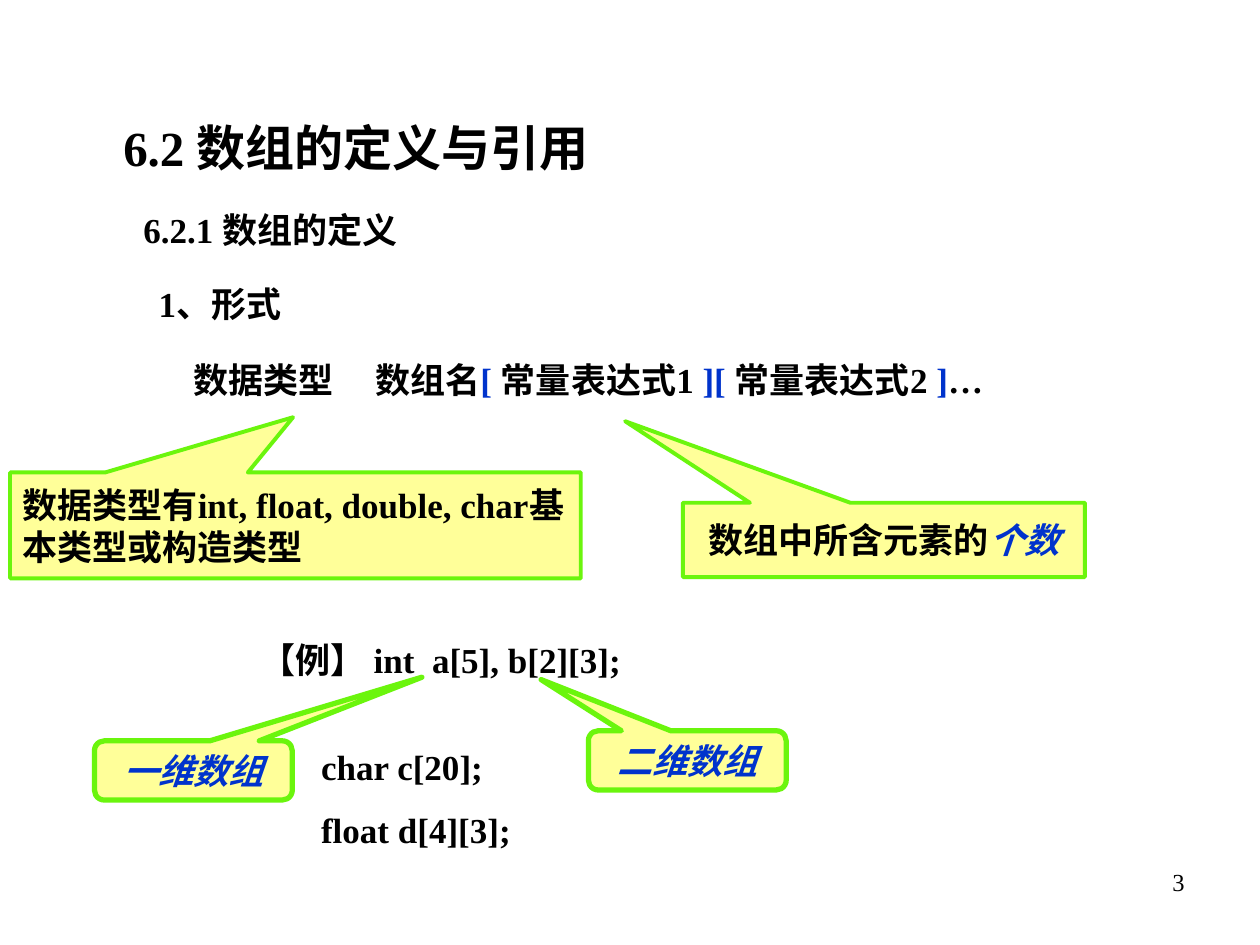
from pptx import Presentation
from pptx.dml.color import RGBColor
from pptx.enum.shapes import MSO_SHAPE
from pptx.enum.text import MSO_ANCHOR, MSO_AUTO_SIZE, PP_ALIGN
from pptx.oxml.xmlchemy import OxmlElement
from pptx.util import Inches, Pt

BLACK = RGBColor(0x00, 0x00, 0x00)
BLUE = RGBColor(0x00, 0x33, 0xCC)
YELLOW = RGBColor(0xFF, 0xFF, 0x99)
GREEN = RGBColor(0x6B, 0xF5, 0x0D)
FONT = "Times New Roman"
RECT = MSO_SHAPE.RECTANGULAR_CALLOUT
ROUNDED = MSO_SHAPE.ROUNDED_RECTANGULAR_CALLOUT

# Paragraphs: (runs, size, space before in points, first-line indent in inches)
# Runs: (text, colour, italic)
HEADINGS = [
    ([("6.2 数组的定义与引用", BLACK, False)], 28, 0, 0),
    ([("6.2.1 数组的定义", BLACK, False)], 20, 6.2, 0.16),
    ([("1、形式", BLACK, False)], 20, 6.2, 0.28),
    ([("数据类型\t数组名", BLACK, False), ("[ ", BLUE, False),
      ("常量表达式1 ", BLACK, False), ("][ ", BLUE, False),
      ("常量表达式2 ", BLACK, False), ("]", BLUE, False),
      ("…", BLACK, False)], 20, 7.5, 0.56),
]
NAME_TAB = 1.87  # where the array name starts in the declaration form
EXAMPLES = [
    ([("【例】 int  a[5], b[2][3];", BLACK, False)], 20, 0, 0),
    ([("char c[20];", BLACK, False)], 20, 25, 0.48),
    ([("float d[4][3];", BLACK, False)], 20, 0, 0.48),
]

# Callouts: kind, box, adjustments, line width, alignment, runs
CALLOUTS = [
    (RECT, (0.08, 3.75, 4.53, 0.84), (-0.004, -1.022), 2.25, PP_ALIGN.LEFT,
     [("数据类型有int, float, double, char基本类型或构造类型", BLACK, False)]),
    (RECT, (5.42, 3.99, 3.19, 0.59), (-0.644, -1.597), 2.25, PP_ALIGN.CENTER,
     [("数组中所含元素的", BLACK, False), ("个数", BLUE, True)]),
    (ROUNDED, (0.75, 5.88, 1.57, 0.47), (1.155, -1.574, 0.167), 3,
     PP_ALIGN.CENTER, [("一维数组", BLUE, True)]),
    (ROUNDED, (4.67, 5.8, 1.57, 0.47), (-0.739, -1.364, 0.167), 3,
     PP_ALIGN.CENTER, [("二维数组", BLUE, True)]),
]


def add_runs(p, runs, size, bold=True):
    for text, color, italic in runs:
        r = p.add_run()
        r.text = text
        r.font.name = FONT
        r.font.size = Pt(size)
        r.font.bold = bold
        r.font.italic = italic
        r.font.color.rgb = color


def add_tab(p, position):
    tabs = OxmlElement("a:tabLst")
    tab = OxmlElement("a:tab")
    tab.set("pos", str(Inches(position)))
    tab.set("algn", "l")
    tabs.append(tab)
    p._p.get_or_add_pPr().append(tabs)


def add_text(slide, box, paragraphs):
    tf = slide.shapes.add_textbox(*map(Inches, box)).text_frame
    tf.word_wrap = True
    tf.auto_size = MSO_AUTO_SIZE.SHAPE_TO_FIT_TEXT
    for i, (runs, size, before, indent) in enumerate(paragraphs):
        p = tf.add_paragraph() if i else tf.paragraphs[0]
        p.line_spacing = 1.5
        p.space_before = Pt(before)
        pPr = p._p.get_or_add_pPr()
        pPr.set("marL", "0")
        pPr.set("indent", str(Inches(indent)))
        if any("\t" in text for text, _, _ in runs):
            add_tab(p, NAME_TAB)
        add_runs(p, runs, size)


def add_callout(slide, kind, box, adjustments, width, align, runs):
    s = slide.shapes.add_shape(kind, *map(Inches, box))
    s.shadow.inherit = False
    for i, value in enumerate(adjustments):
        s.adjustments[i] = value
    s.fill.solid()
    s.fill.fore_color.rgb = YELLOW
    s.line.color.rgb = GREEN
    s.line.width = Pt(width)
    tf = s.text_frame
    tf.word_wrap = True
    tf.vertical_anchor = MSO_ANCHOR.MIDDLE
    p = tf.paragraphs[0]
    p.alignment = align
    add_runs(p, runs, 20)


def main():
    prs = Presentation()
    prs.slide_width, prs.slide_height = Inches(10), Inches(7.5)
    slide = prs.slides.add_slide(prs.slide_layouts[6])

    # Slide number
    sp = slide.shapes.add_textbox(*map(Inches, (7.17, 6.83, 2.33, 0.52)))
    sp.text_frame.word_wrap = True
    p = sp.text_frame.paragraphs[0]
    p.alignment = PP_ALIGN.RIGHT
    add_runs(p, [("3", BLACK, False)], 14, bold=False)

    # Headings and declaration form, then its callouts and the examples
    add_text(slide, (0.88, 0.65, 8.42, 2.78), HEADINGS)
    for callout in CALLOUTS[:2]:
        add_callout(slide, *callout)
    add_text(slide, (1.97, 4.85, 5, 1.95), EXAMPLES)
    for callout in CALLOUTS[2:]:
        add_callout(slide, *callout)

    prs.save("out.pptx")


if __name__ == "__main__":
    main()
